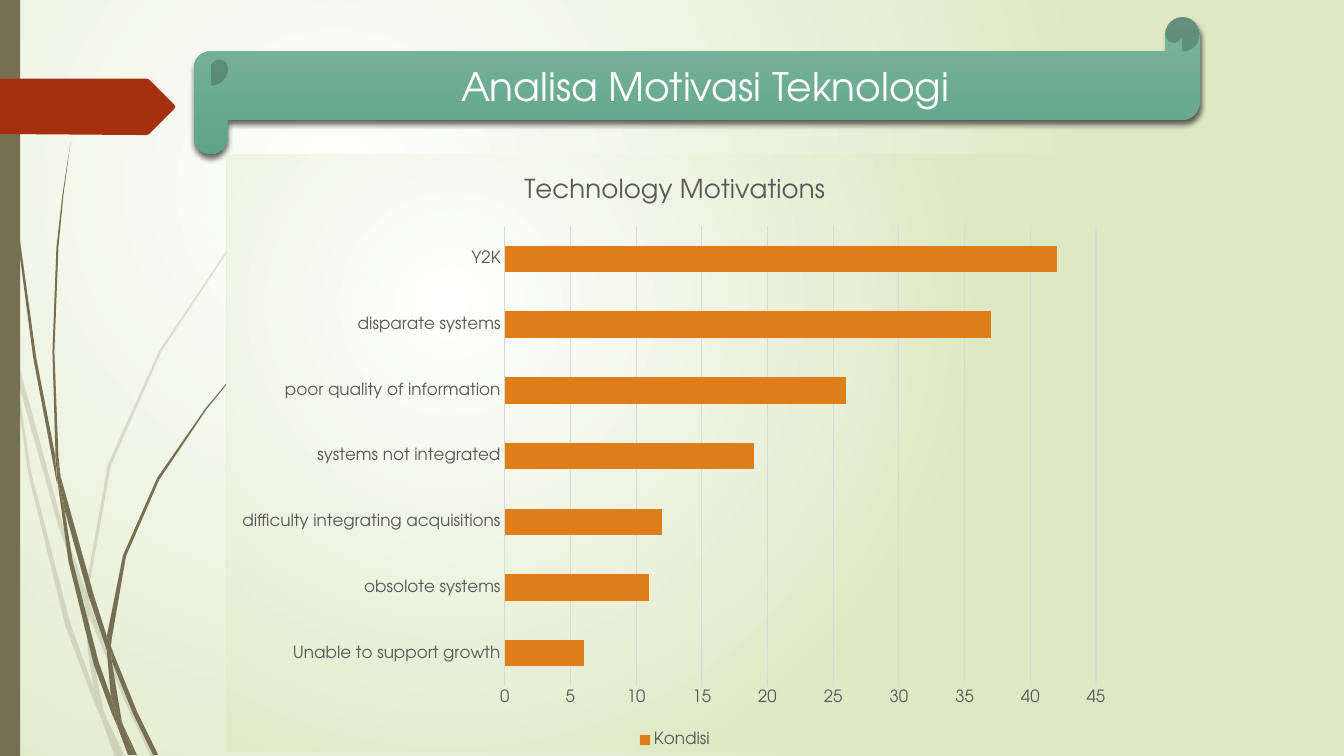
from copy import deepcopy

from lxml import etree
from pptx import Presentation
from pptx import util as u
from pptx.chart import data
from pptx.dml.color import RGBColor
from pptx.enum import chart as charts, shapes, text
from pptx.oxml.ns import qn

COLORS = {
    "white": "FFFFFF", "pale": "DFE8C4", "stem": "766F54", "arrow": "A53010",
    "scroll_top": "7DB59D", "scroll_bottom": "5EA588", "shadow": "000000",
    "bar": "DE7E18", "label": "595959", "grid": "D9D9D9",
}
FONT = "TeX Gyre Adventor"
UNIT_CM = 0.0254  # outlines are written in hundredths of an inch

PALE_BLADES = [
    "11,350 9,322 0,282 0,299 10,344",
    "58,522 84,599 85,586 62,520 14,345 17,376",
    "92,607 88,596 88,610 123,694 150,751 155,751 127,692",
    "119,751 124,751 105,711",
    "93,683 70,619 31,469 17,376 11,350 28,470 65,621 92,693 101,714 99,707",
    "84,599 87,646 93,683 96,692 105,711 103,706 91,646 88,610 88,608",
    "88,584 110,462 160,349 229,245 268,198 290,175 312,154 312,153 289,175 268,197 228,244"
    " 158,348 107,461 85,584 85,586 88,596",
    "101,714 114,751 119,751",
    "88,608 88,610 88,596 85,586 84,599",
    "96,692 93,683 99,707 101,714 119,751 105,711",
]
DARK_BLADES = [
    "7,110 17,233 33,355 56,477 57,481 55,457 55,453 36,355 19,232 8,109 5,48 4,0 3,0 4,48",
    "88,592 106,645 106,633 106,631 93,590 60,472 64,505",
    "113,649 110,641 111,656 132,708 152,749 157,749 136,706",
    "110,691 98,657 72,556 64,505 57,477 68,557 93,659 111,708 117,722 116,717",
    "60,472 58,453 54,349 58,245 63,193 70,141 62,193 56,245 52,349 55,449",
    "133,749 136,749 122,719",
    "57,477 64,505 60,472 55,449 55,453",
    "111,633 125,552 158,476 205,406 231,374 245,359 261,344 260,344 245,358 231,373 204,405"
    " 156,474 122,551 106,631 110,641",
    "117,722 127,749 131,749",
    "106,645 110,691 116,706 122,719 121,716 111,656 109,651",
    "106,645 109,651 111,656 110,641 106,631 106,633",
    "116,706 110,691 116,717 117,722 130,749 133,749 122,719",
]
ARROW = "173,108 148,133 146,134 136,134 0,133 0,78 146,78 148,79 173,104 174,106"
MOTIVATIONS = {
    "Unable to support growth": 6, "obsolote systems": 11,
    "difficulty integrating acquisitions": 12, "systems not integrated": 19,
    "poor quality of information": 26, "disparate systems": 37, "Y2K": 42,
}


def rgb(name):
    return RGBColor.from_string(COLORS[name])


class Board:
    def __init__(self, slide):
        self.slide = slide

    def style(self, font, size, color):
        font.name, font.size, font.color.rgb = FONT, u.Pt(size), rgb(color)

    def gradient(self, fill, first, last):
        fill.gradient()
        for stop, color in zip(fill.gradient_stops, (first, last)):
            stop.color.rgb = rgb(color)

    def background(self):
        """Fill the slide with a round glow and return the fill element."""
        self.gradient(self.slide.background.fill, "white", "pale")
        glow = self.slide.element.find(".//" + qn("a:gradFill"))
        glow.remove(glow.find(qn("a:lin")))
        circle = etree.SubElement(glow, qn("a:path"), path="circle")
        etree.SubElement(circle, qn("a:fillToRect"), l="50000", t="50000", r="100000", b="100000")
        return glow

    def plain(self, shape, color, opacity=100):
        shape.shadow.inherit = False
        shape.line.fill.background()
        shape.fill.solid()
        shape.fill.fore_color.rgb = rgb(color)
        if opacity < 100:
            tint = shape.fill._xPr.find(".//" + qn("a:srgbClr"))
            etree.SubElement(tint, qn("a:alpha"), val=str(opacity * 1000))

    def outline(self, corners, color, opacity=100):
        start, *rest = [tuple(u.Cm(int(n) * UNIT_CM) for n in corner.split(","))
                        for corner in corners.split()]
        pen = self.slide.shapes.build_freeform(*start)
        pen.add_line_segments(rest, close=True)
        self.plain(pen.convert_to_shape(), color, opacity)

    def shape(self, kind, *box):
        return self.slide.shapes.add_shape(kind, *map(u.Cm, box))

    def scroll(self, words, *box):
        banner = self.shape(shapes.MSO_SHAPE.HORIZONTAL_SCROLL, *box)
        banner.adjustments[0] = 0.25
        self.plain(banner, "scroll_top")
        self.gradient(banner.fill, "scroll_top", "scroll_bottom")
        banner.fill.gradient_angle = 270
        effects = banner._element.spPr.find(qn("a:effectLst"))
        shadow = etree.SubElement(effects, qn("a:outerShdw"), blurRad=str(u.Pt(4)),
                                  dist=str(u.Pt(3)), dir="5400000", rotWithShape="0")
        shade = etree.SubElement(shadow, qn("a:srgbClr"), val=COLORS["shadow"])
        etree.SubElement(shade, qn("a:alpha"), val="60000")
        banner.text_frame.vertical_anchor = text.MSO_ANCHOR.MIDDLE
        heading = banner.text_frame.paragraphs[0]
        heading.text, heading.alignment = words, text.PP_ALIGN.CENTER
        self.style(heading.font, 28, "white")

    def bar_chart(self, title, series_name, values, glow, *box):
        table = data.CategoryChartData()
        table.categories = list(values)
        table.add_series(series_name, list(values.values()))
        chart = self.slide.shapes.add_chart(
            charts.XL_CHART_TYPE.BAR_CLUSTERED, *map(u.Cm, box), table).chart
        self.style(chart.font, 12, "label")
        chart.has_title = True
        heading = chart.chart_title.text_frame.paragraphs[0]
        heading.text = title
        self.style(heading.font, 18.6, "label")
        heading.font.bold = False
        chart.has_legend = True
        chart.legend.position = charts.XL_LEGEND_POSITION.BOTTOM
        chart.legend.include_in_layout = False
        self.style(chart.legend.font, 12, "label")
        for axis in (chart.category_axis, chart.value_axis):
            axis.major_tick_mark = axis.minor_tick_mark = charts.XL_TICK_MARK.NONE
            axis.format.line.fill.background()
            self.style(axis.tick_labels.font, 12, "label")
        scale = chart.value_axis
        scale.minimum_scale, scale.maximum_scale, scale.major_unit = 0, 45, 5
        grid = scale.major_gridlines.format.line
        grid.color.rgb, grid.width = rgb("grid"), u.Pt(0.75)
        bars = chart.plots[0]
        bars.gap_width, bars.vary_by_categories = 150, False
        bars.series[0].format.fill.solid()
        bars.series[0].format.fill.fore_color.rgb = rgb("bar")
        self.place_plot(chart, x=0.31, y=0.12, w=0.66, h=0.77)
        frame = etree.Element(qn("c:spPr"))
        frame.append(deepcopy(glow))
        etree.SubElement(etree.SubElement(frame, qn("a:ln")), qn("a:noFill"))
        chart._chartSpace.find(qn("c:chart")).addnext(frame)

    def place_plot(self, chart, **shares):
        area = chart._chartSpace.find(".//" + qn("c:plotArea"))
        for old in area.findall(qn("c:layout")):
            area.remove(old)
        layout = etree.Element(qn("c:layout"))
        area.insert(0, layout)
        manual = etree.SubElement(layout, qn("c:manualLayout"))
        settings = {"layoutTarget": "inner", "xMode": "edge", "yMode": "edge", **shares}
        for tag, value in settings.items():
            etree.SubElement(manual, qn("c:" + tag), val=str(value))


def main():
    deck = Presentation()
    deck.slide_width, deck.slide_height = u.Cm(33.87), u.Cm(19.05)
    board = Board(deck.slides.add_slide(deck.slide_layouts[6]))
    glow = board.background()
    for blades, opacity in ((PALE_BLADES, 20), (DARK_BLADES, 100)):
        for blade in blades:
            board.outline(blade, "stem", opacity)
    board.plain(board.shape(shapes.MSO_SHAPE.RECTANGLE, 0, 0, 0.51, 19.05), "stem")
    board.outline(ARROW, "arrow")
    board.scroll("Analisa Motivasi Teknologi", 4.88, 0.43, 25.35, 3.45)
    board.bar_chart("Technology Motivations", "Kondisi", MOTIVATIONS, glow,
                    5.72, 3.89, 22.58, 15.06)
    deck.save("out.pptx")


if __name__ == "__main__":
    main()
